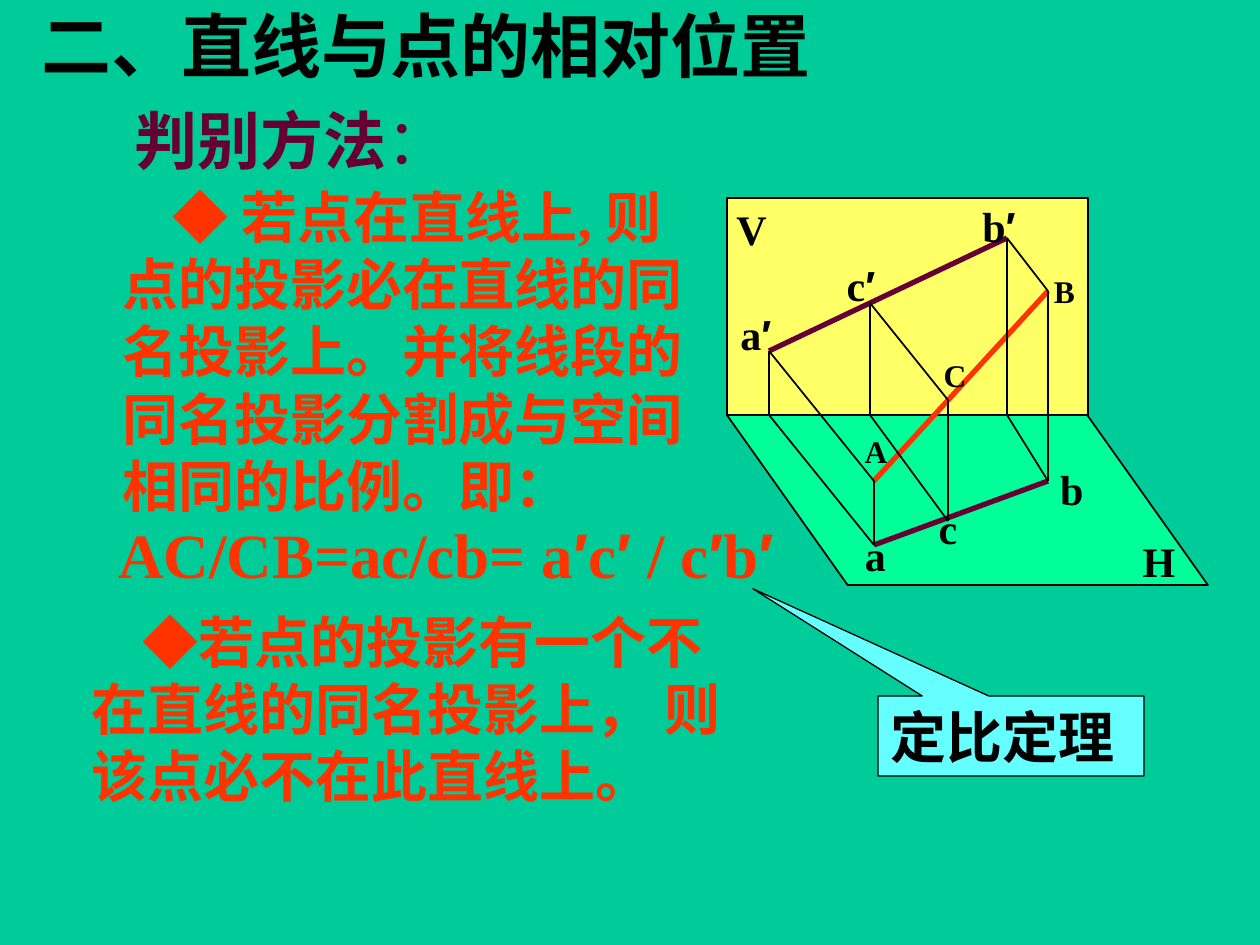
from dataclasses import dataclass
from itertools import groupby

from lxml import etree
from pptx import Presentation
from pptx import util as u
from pptx.dml.color import RGBColor
from pptx.enum import lang, shapes, text
from pptx.oxml.ns import qn

EMU_PER_PX = 914400 / 126
COLORS = {
    "background": "00CC99", "ink": "000000", "plum": "660033", "red": "FF3300",
    "vertical": "FFFF66", "horizontal": "00FF99", "callout": "66FFFF",
}
CENTER, LEFT = text.PP_ALIGN.CENTER, text.PP_ALIGN.LEFT


@dataclass
class Box:
    words: str
    left: int
    top: int
    width: int
    height: int
    size: int
    color: str = "ink"
    align: text.PP_ALIGN = LEFT
    wrap: bool = False
    indent: int = 0
    light: str = ""  # characters that are not bold


@dataclass
class Segment:
    start: tuple[int, int]
    end: tuple[int, int]
    color: str = "ink"
    weight: int = 1


def px(value: int) -> u.Emu:
    return u.Emu(round(value * EMU_PER_PX))


def rgb(name: str) -> RGBColor:
    return RGBColor.from_string(COLORS[name])


def write(shape, box: Box) -> None:
    """Place the shape and fill it with the words, primes set in Arial."""
    shape.left, shape.top = px(box.left), px(box.top)
    shape.width, shape.height = px(box.width), px(box.height)
    frame = shape.text_frame
    frame.auto_size = text.MSO_AUTO_SIZE.NONE
    frame.word_wrap = box.wrap
    frame.vertical_anchor = text.MSO_ANCHOR.MIDDLE
    paragraph = frame.paragraphs[0]
    paragraph.alignment = box.align
    paragraph.space_before = u.Pt(0)
    properties = paragraph._p.get_or_add_pPr()
    properties.set("marL", "0")
    properties.set("indent", str(px(box.indent)))
    etree.SubElement(properties, qn("a:buNone"))
    for (prime, light), letters in groupby(
            box.words, key=lambda letter: (letter == "′", letter in box.light)):
        run = paragraph.add_run()
        run.text = "".join(letters)
        font = run.font
        font.name = "Arial" if prime else "Times New Roman"
        font.size = u.Pt(box.size)
        font.bold = not light
        font.color.rgb = rgb(box.color)
        font.language_id = lang.MSO_LANGUAGE_ID.SIMPLIFIED_CHINESE


def add_text(slide, box: Box) -> None:
    write(slide.shapes.add_textbox(0, 0, 0, 0), box)


def add_panel(slide, kind, left: int, top: int, width: int, height: int,
              fill: str, weight: float = 1):
    shape = slide.shapes.add_shape(kind, px(left), px(top), px(width), px(height))
    shape.shadow.inherit = False
    shape.fill.solid()
    shape.fill.fore_color.rgb = rgb(fill)
    shape.line.color.rgb = rgb("ink")
    shape.line.width = u.Pt(weight)
    return shape


def add_segment(slide, segment: Segment) -> None:
    line = slide.shapes.add_connector(
        shapes.MSO_CONNECTOR.STRAIGHT, *map(px, segment.start + segment.end))
    line.line.color.rgb = rgb(segment.color)
    line.line.width = u.Pt(segment.weight)
    etree.SubElement(line._element.spPr, qn("a:effectLst"))


# Headings, rules and formula
TITLE = Box("二、直线与点的相对位置", 6, -4, 840, 97, 40, align=CENTER)
RULES = [
    Box("◆ 若点在直线上, 则点的投影必在直线的同名投影上。并将线段的同名投影分割成与空间相同的比例。即：",
        110, 176, 614, 349, 32, "red", wrap=True, indent=50),
    Box("◆若点的投影有一个不在直线的同名投影上， 则该点必不在此直线上。",
        79, 601, 680, 214, 32, "red", wrap=True, indent=51),
]
STATEMENTS = [
    Box("判别方法：", 122, 95, 340, 88, 36, "plum", light="："),
    Box("AC/CB=ac/cb= a′c′ / c′b′", 106, 509, 703, 88, 36, "red"),
]

# Points in space, on the vertical plane (v) and on the horizontal plane (h)
AXIS = 415
A, B, C = (874, 481), (1048, 291), (948, 400)
A_V, B_V, C_V = (769, 351), (1007, 238), (870, 303)
A_H, B_H, C_H = (874, 545), (1048, 481), (948, 521)

TRIPLES = [(A, A_V, A_H), (B, B_V, B_H), (C, C_V, C_H)]
LINES = [
    Segment(A_V, B_V, "plum", 3),
    Segment(B, A, "red", 3),
    Segment(B_H, A_H, "plum", 3),
]
for point, front, plan in TRIPLES:
    foot = (front[0], AXIS)
    LINES += [Segment(front, point), Segment(point, plan),
              Segment(front, foot), Segment(foot, plan)]

LABELS = [
    Box(words, left, top, width, 50 if size == 18 else 63, size, align=CENTER)
    for words, left, top, width, size in [
        ("A", 852, 426, 48, 18), ("B", 1042, 266, 45, 18), ("C", 931, 350, 48, 18),
        ("V", 724, 197, 55, 24), ("H", 1130, 529, 58, 24),
        ("a", 853, 523, 45, 24), ("b", 1048, 457, 48, 24), ("c", 926, 496, 44, 24),
        ("a′", 726, 302, 60, 24), ("b′", 968, 194, 62, 24), ("c′", 832, 253, 58, 24),
    ]
]


def main() -> None:
    presentation = Presentation()
    presentation.slide_width, presentation.slide_height = px(1260), px(945)
    slide = presentation.slides.add_slide(presentation.slide_layouts[3])
    slide.background.fill.solid()
    slide.background.fill.fore_color.rgb = rgb("background")

    # Title and the two rules
    for index, box in enumerate([TITLE, *RULES]):
        write(slide.placeholders[index], box)
    for box in STATEMENTS:
        add_text(slide, box)

    # Projection planes
    floor = add_panel(slide, shapes.MSO_SHAPE.PARALLELOGRAM,
                      727, AXIS, 481, 170, "horizontal")
    floor.adjustments[0] = 0.71
    floor._element.spPr.xfrm.set("flipH", "1")
    add_panel(slide, shapes.MSO_SHAPE.RECTANGLE, 727, 198, 361, 217, "vertical")

    # Lines and point names
    for segment in LINES:
        add_segment(slide, segment)
    for label in LABELS:
        add_text(slide, label)

    # Theorem callout
    theorem = Box("定比定理", 878, 696, 266, 80, 32)
    callout = add_panel(slide, shapes.MSO_SHAPE.RECTANGULAR_CALLOUT, theorem.left,
                        theorem.top, theorem.width, theorem.height, "callout", 0.75)
    callout.adjustments[0], callout.adjustments[1] = -0.97, -1.84
    write(callout, theorem)

    presentation.save("out.pptx")


if __name__ == "__main__":
    main()
